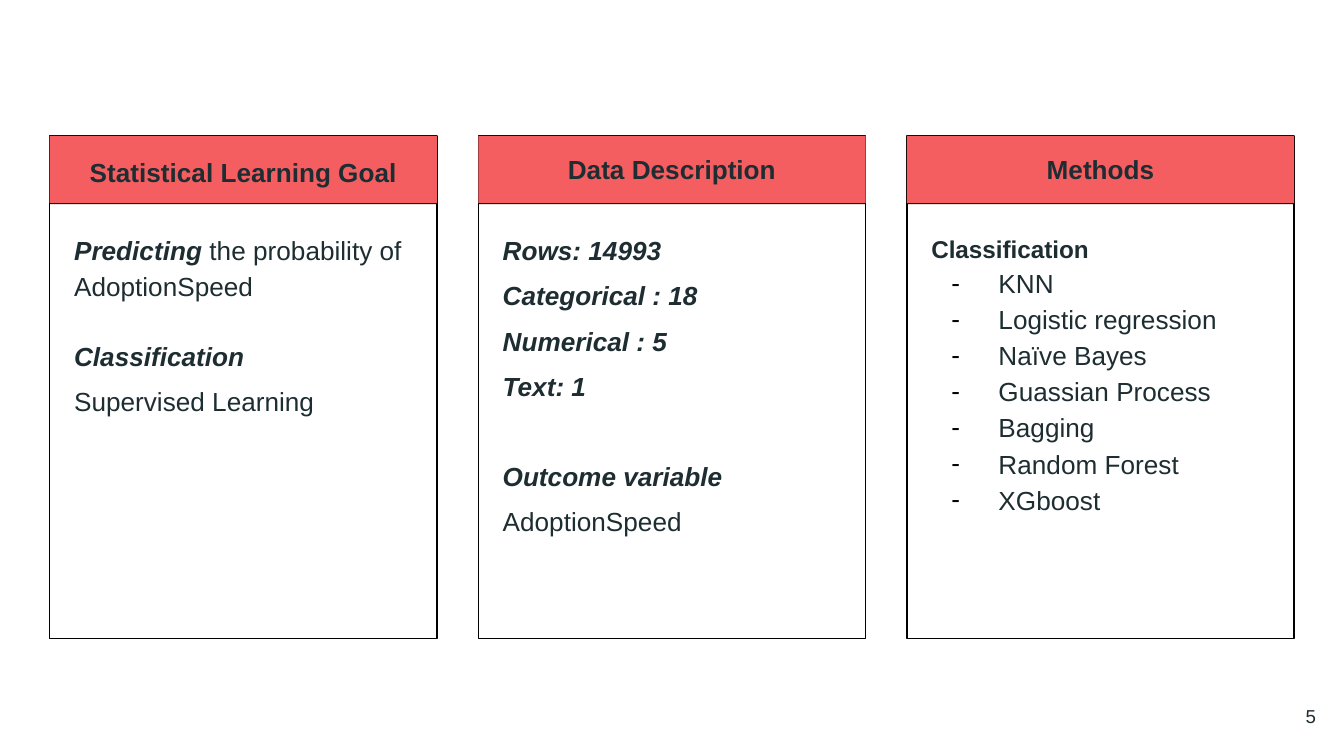
from dataclasses import dataclass

import pptx
import pptx.dml.color
import pptx.enum.shapes
import pptx.enum.text
import pptx.oxml.ns
import pptx.util
from lxml import etree

Cm, Pt = pptx.util.Cm, pptx.util.Pt
RGBColor = pptx.dml.color.RGBColor
Align, Anchor = pptx.enum.text.PP_ALIGN, pptx.enum.text.MSO_ANCHOR

INK = RGBColor(0x1E, 0x2D, 0x31)
CORAL = RGBColor(0xF5, 0x5E, 0x61)
BLACK = RGBColor(0, 0, 0)
FONT = "Arial"

COLUMN_TOP, COLUMN_WIDTH, COLUMN_HEIGHT = 2.57, 7.32, 9.5
COLUMN_LEFT, COLUMN_PITCH = 0.94, 8.1
HEADER_HEIGHT, BODY_OFFSET, BODY_MARGIN = 1.27, 1.52, 0.21
INSET = 0.25


@dataclass
class Line:
    lead: str = ""      # emphasised opening words
    rest: str = ""      # plain words after them
    before: int = 0
    size: int = 14
    italic: bool = True
    dashed: bool = False


METHODS = ["KNN", "Logistic regression", "Naïve Bayes", "Guassian Process",
           "Bagging", "Random Forest", "XGboost"]

COLUMNS = [
    ("Statistical Learning Goal", Anchor.MIDDLE, [
        Line("Predicting", " the probability of AdoptionSpeed"),
        Line("Classification", before=18),
        Line(rest="Supervised Learning", before=5),
    ]),
    ("Data Description", Anchor.TOP, [
        Line("Rows: 14993"),
        Line("Categorical : 18", before=5),
        Line("Numerical : 5", before=5),
        Line("Text: 1", before=5),
        Line("Outcome variable", before=29),
        Line(rest="AdoptionSpeed", before=5),
    ]),
    ("Methods", Anchor.TOP, [
        Line("Classification", size=13, italic=False),
        *[Line(rest=method, dashed=True) for method in METHODS],
    ]),
]


def set_frame(frame, anchor):
    frame.word_wrap = True
    frame.auto_size = pptx.enum.text.MSO_AUTO_SIZE.NONE
    frame.vertical_anchor = anchor
    frame.margin_left = frame.margin_right = Cm(INSET)
    frame.margin_top = frame.margin_bottom = Cm(INSET)


def set_font(paragraph, size, bold=False):
    paragraph.font.name = FONT
    paragraph.font.size = Pt(size)
    paragraph.font.bold = bold
    paragraph.font.color.rgb = INK


def add_box(slide, left, top, width, height, fill=None, line=None):
    box = slide.shapes.add_shape(pptx.enum.shapes.MSO_SHAPE.RECTANGLE,
                                 Cm(left), Cm(top), Cm(width), Cm(height))
    box.shadow.inherit = False
    if fill is None:
        box.fill.background()
    else:
        box.fill.solid()
        box.fill.fore_color.rgb = fill
    if line is None:
        box.line.fill.background()
    else:
        box.line.color.rgb = line
        box.line.width = Pt(0.75)
    return box


def set_bullet(paragraph, dashed):
    qn = pptx.oxml.ns.qn
    properties = paragraph._p.get_or_add_pPr()
    properties.set("marL", str(Cm(1.27) if dashed else 0))
    properties.set("indent", str(Cm(-0.89) if dashed else 0))
    if dashed:
        color = etree.SubElement(properties, qn("a:buClr"))
        etree.SubElement(color, qn("a:srgbClr"), val=str(BLACK))
        etree.SubElement(properties, qn("a:buChar"), char="-")
    else:
        etree.SubElement(properties, qn("a:buNone"))


def fill_body(body, lines, left, top, width, height):
    body.left, body.top = Cm(left), Cm(top)
    body.width, body.height = Cm(width), Cm(height)
    frame = body.text_frame
    set_frame(frame, Anchor.TOP)
    for index, line in enumerate(lines):
        paragraph = frame.paragraphs[0] if index == 0 else frame.add_paragraph()
        paragraph.alignment = Align.LEFT
        paragraph.line_spacing = 1.15
        paragraph.space_before = Pt(line.before)
        paragraph.space_after = Pt(0)
        set_bullet(paragraph, line.dashed)
        set_font(paragraph, line.size)
        if line.lead:
            lead = paragraph.add_run()
            lead.text = line.lead
            lead.font.bold = True
            lead.font.italic = line.italic
        if line.rest:
            paragraph.add_run().text = line.rest


def add_column(slide, body, heading, anchor, lines, left, top, width, height):
    # Dark edge under the header, then the outline of the column
    add_box(slide, left, top, width, HEADER_HEIGHT + 0.02, fill=BLACK)
    add_box(slide, left, top, width, height, line=BLACK)

    # Header band
    header = add_box(slide, left, top, width, HEADER_HEIGHT, fill=CORAL)
    set_frame(header.text_frame, anchor)
    title = header.text_frame.paragraphs[0]
    title.text = heading
    title.alignment = Align.CENTER
    title.line_spacing = 1.15
    set_font(title, 14, bold=True)

    # Body list
    fill_body(body, lines, left + BODY_MARGIN, top + BODY_OFFSET,
              width - 2 * BODY_MARGIN, height - BODY_OFFSET - BODY_MARGIN)


def add_page_number(slide, number, left, top, width, height):
    page = slide.shapes.add_textbox(Cm(left), Cm(top), Cm(width), Cm(height))
    set_frame(page.text_frame, Anchor.MIDDLE)
    paragraph = page.text_frame.paragraphs[0]
    paragraph.text = number
    paragraph.alignment = Align.RIGHT
    set_font(paragraph, 10)


def main():
    deck = pptx.Presentation()
    deck.slide_width, deck.slide_height = Cm(25.4), Cm(14.29)
    slide = deck.slides.add_slide(deck.slide_layouts.get_by_name("Comparison"))

    # Three of the layout's bodies hold the lists; the others are removed
    title, *bodies = slide.placeholders
    spare = bodies.pop()
    for unused in (title, spare):
        unused.element.getparent().remove(unused.element)

    for index, (body, column) in enumerate(zip(bodies, COLUMNS)):
        add_column(slide, body, *column, COLUMN_LEFT + index * COLUMN_PITCH,
                   COLUMN_TOP, COLUMN_WIDTH, COLUMN_HEIGHT)
    add_page_number(slide, "5", 23.6, 13, 1.52, 1.09)

    deck.save("out.pptx")


if __name__ == "__main__":
    main()
